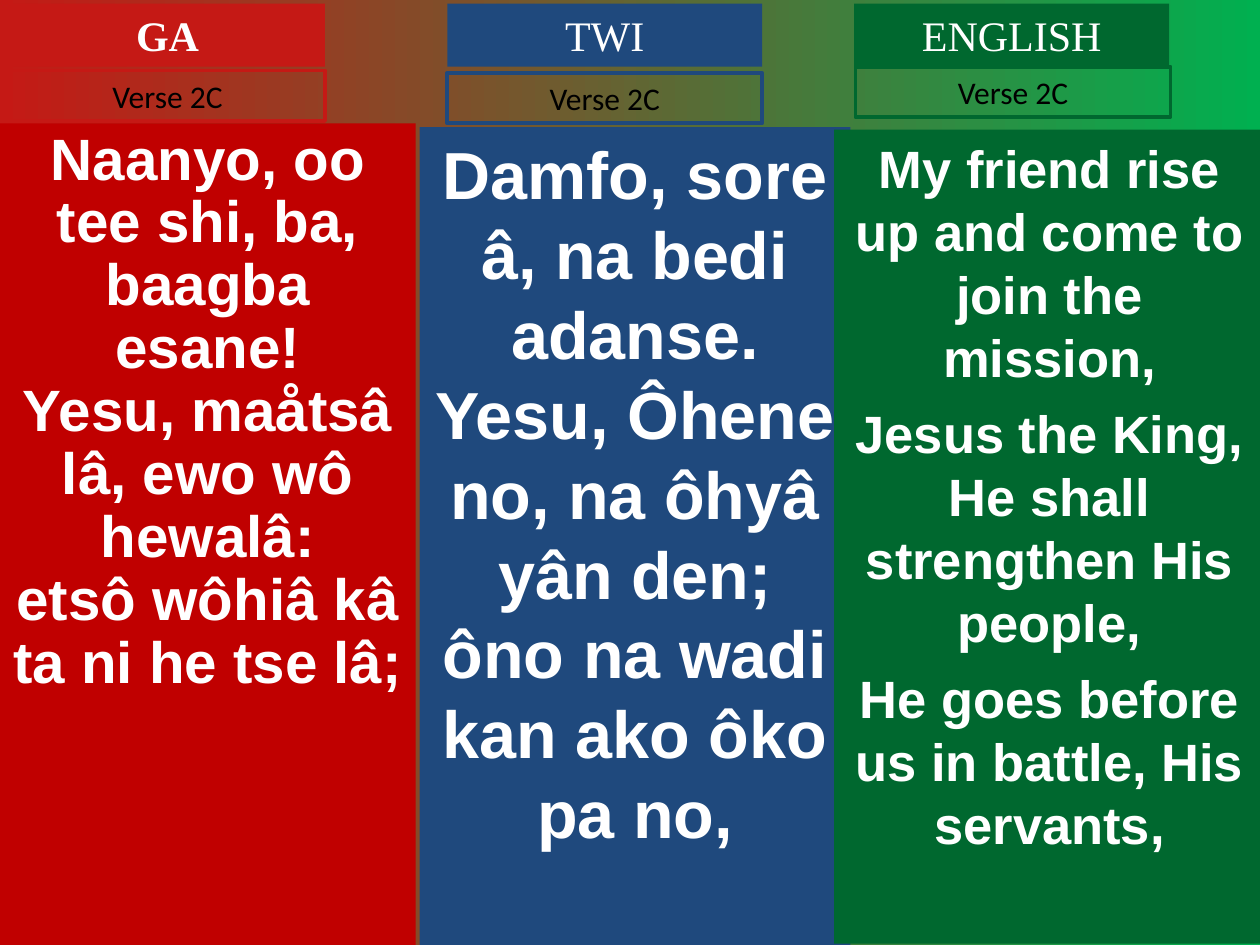
from pptx import Presentation
from pptx.dml.color import RGBColor
from pptx.enum.shapes import MSO_SHAPE as Shape
from pptx.enum.text import MSO_ANCHOR as Anchor, PP_ALIGN as Align
from pptx.util import Inches, Pt

WHITE = RGBColor(0xFF, 0xFF, 0xFF)
BLACK = RGBColor(0, 0, 0)
RED = RGBColor(0xC5, 0x19, 0x15)
DEEP_RED = RGBColor(0xC0, 0, 0)
BLUE = RGBColor(0x1F, 0x49, 0x7D)
GREEN = RGBColor(0, 0x68, 0x2F)
BRIGHT_GREEN = RGBColor(0, 0xB0, 0x50)

VERSE = "Verse 2C"
TAG_W, TITLE_H, VERSE_H = 2.5, 0.5, 0.4
TITLE_TOP = 0.03

COLUMNS = [
    dict(title="GA", bold=True, accent=RED, fill=DEEP_RED, title_left=0.08,
         verse_at=(0.08, 0.56), panel=(0, 0.98, 3.3, 6.52), size=33.3,
         spacing={"line_spacing": 0.9}, gap=0,
         lines=["Naanyo, oo tee shi, ba, baagba esane!",
                "Yesu, maåtsâ lâ, ewo wô hewalâ:",
                "etsô wôhiâ kâ ta ni he tse lâ;"]),
    dict(title="TWI", bold=False, accent=BLUE, fill=BLUE, title_left=3.55,
         verse_at=(3.55, 0.58), panel=(3.33, 1.01, 3.42, 6.49), size=38,
         spacing={}, gap=0,
         lines=["Damfo, sore â, na bedi adanse.",
                "Yesu, Ôhene no, na ôhyâ yân den; ôno na wadi kan ako ôko pa no,"]),
    dict(title="ENGLISH", bold=False, accent=GREEN, fill=GREEN, title_left=6.78,
         verse_at=(6.79, 0.53), panel=(6.62, 1.03, 3.42, 6.46), size=30,
         spacing={}, gap=7.5,
         lines=["My friend rise up and come to join the mission,",
                "Jesus the King, He shall strengthen His people,",
                "He goes before us in battle, His servants,"]),
]


def add_box(page, place, lines, font, color, fill=None, outline=None,
            anchor=Anchor.TOP, spacing=None, gap=0):
    """Add a rectangle holding one centred paragraph per line."""
    box = page.shapes.add_shape(Shape.RECTANGLE, *map(Inches, place))
    box.shadow.inherit = False
    if fill is None:
        box.fill.background()
    else:
        box.fill.solid()
        box.fill.fore_color.rgb = fill
    if outline is None:
        box.line.fill.background()
    else:
        box.line.color.rgb = outline
        box.line.width = Pt(2.25)
    frame = box.text_frame
    frame.word_wrap = True
    frame.vertical_anchor = anchor
    for index, line in enumerate(lines):
        para = frame.add_paragraph() if index else frame.paragraphs[0]
        para.alignment = Align.CENTER
        for name, value in (spacing or {}).items():
            setattr(para, name, value)
        if index and gap:
            para.space_before = Pt(gap)
        span = para.add_run()
        span.text = line
        for name, value in font.items():
            setattr(span.font, name, value)
        span.font.color.rgb = color


def paint_background(page):
    fill = page.background.fill
    fill.gradient()
    fill.gradient_angle = 0
    for stop, color, position in zip(fill.gradient_stops, (RED, BRIGHT_GREEN), (0, 1)):
        stop.color.rgb = color
        stop.position = position


def add_column(page, column):
    accent = column["accent"]
    add_box(page, column["panel"], column["lines"],
            dict(name="Arial", size=Pt(column["size"]), bold=True), WHITE,
            fill=column["fill"], spacing=column["spacing"], gap=column["gap"])
    add_box(page, (column["title_left"], TITLE_TOP, TAG_W, TITLE_H), [column["title"]],
            dict(name="Times New Roman", size=Pt(24), bold=column["bold"]), WHITE,
            fill=accent)
    add_box(page, (*column["verse_at"], TAG_W, VERSE_H), [VERSE],
            dict(name="Calibri", size=Pt(18), bold=False), BLACK, outline=accent)


def main():
    deck = Presentation()
    deck.slide_width, deck.slide_height = Inches(10), Inches(7.5)
    page = deck.slides.add_slide(deck.slide_layouts[6])
    paint_background(page)
    for column in COLUMNS:
        add_column(page, column)
    deck.save("out.pptx")


if __name__ == "__main__":
    main()
